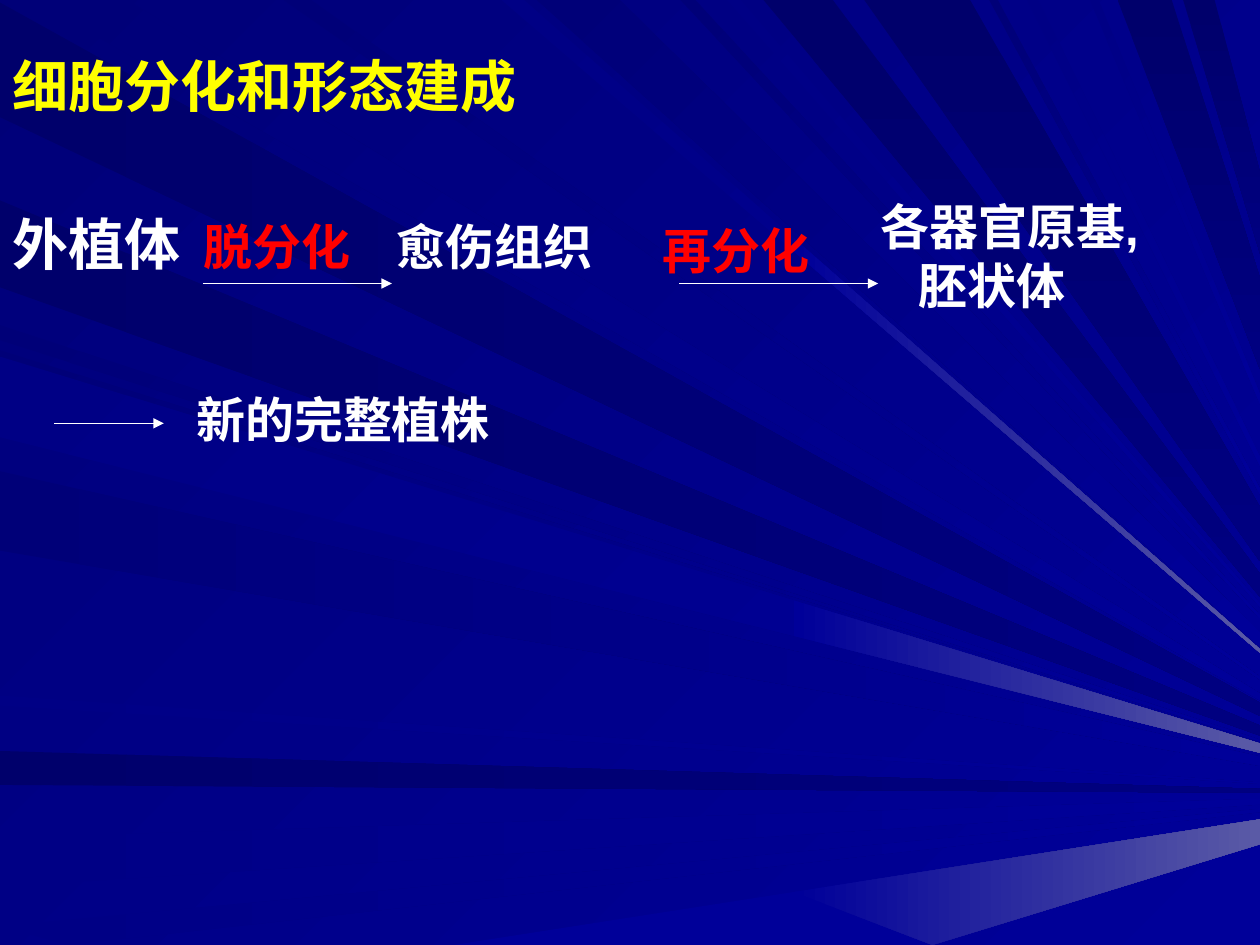
"""Slide on cell differentiation and morphogenesis, over a fan of blue light rays."""
from dataclasses import dataclass

from lxml import etree
from pptx import Presentation
from pptx import util as u
from pptx.dml.color import RGBColor
from pptx.enum import shapes, text
from pptx.oxml import ns

COLUMNS, ROWS = 100, 75
CELL = u.Inches(0.1)
FOCUS = (113, 63)


@dataclass(frozen=True)
class Theme:
    """Colours and type sizes."""
    font: str = "Arial"
    large: int = 32
    medium: int = 28
    arrow: float = 0.75
    title: str = "FFFF00"
    plain: str = "FFFFFF"
    process: str = "FF0000"
    night: str = "00006B"
    deep: str = "000078"
    dusk: str = "000085"
    mid: str = "000080"
    bright: str = "000099"
    glow: str = "5A5AA6"


T = Theme()

# Rays by start and end colour; each pair marks where a ray leaves the slide's rim.
RAYS = {
    (T.night, T.mid): [(-9.3, -0.2), (-62.3, -59.6), (-22.8, -15.9), (60.6, 66.1),
                       (88.7, 93), (93.9, 96.4), (68.6, 77)],
    (T.deep, T.bright): [(2.6, 10.1), (-27, -25.8), (42.6, 49.2), (54, 55.2), (-34.2, -27.8),
                         (-43.7, -37.4), (22.5, 24.7), (78.5, 79.2)],
    (T.dusk, T.bright): [(-70.4, -66.5), (-80.4, -73.5), (39.8, 41.6), (-56, -55.2),
                         (57.7, 58.8), (81.5, 82.4), (86.5, 87.2), (-34.7, -28.3)],
    (T.bright, T.bright): [(-149, -111)],
}
GLOWS = [(-34.7, -28.3), (39.8, 41.6), (-149, -111)]
GLOW_START = 0.63


def cells(*counts):
    """Turn grid cells into slide lengths."""
    return [u.Emu(round(count * CELL)) for count in counts]


def rim_point(mark):
    """Place a mark: rightward along the top if positive, else down the left and along the bottom."""
    if mark >= 0:
        return mark, 0
    return max(0, -mark - ROWS), min(-mark, ROWS)


def toward_focus(mark, column):
    """Find the point at a column on the line from a rim mark to the focus."""
    x, y = rim_point(mark)
    share = max(0, column - x) / (FOCUS[0] - x)
    return x + (FOCUS[0] - x) * share, y + (FOCUS[1] - y) * share


def paint(fill, start, end, angle):
    """Fill with one colour, or with a gradient at a clockwise angle."""
    if start == end:
        fill.solid()
        fill.fore_color.rgb = RGBColor.from_string(start)
        return
    fill.gradient()
    fill.gradient_angle = -angle % 360
    for stop, colour in zip(fill.gradient_stops, (start, end)):
        stop.color.rgb = RGBColor.from_string(colour)


def ray_angle(mark, end):
    """Choose the gradient angle from the ray's rim and end colour."""
    if end == T.mid:
        return 90 if mark > 0 else 0
    return 45 if mark > -ROWS / 2 and end == T.bright else 0


def add_ray(slide, marks, start, end, column=0):
    """Draw a ray from a column to the slide's right edge."""
    low, high = marks
    corners = [toward_focus(low, column), toward_focus(low, COLUMNS),
               toward_focus(high, COLUMNS), toward_focus(high, column)]
    first, *others = [cells(*corner) for corner in corners]
    outline = slide.shapes.build_freeform(*first)
    outline.add_line_segments(others, close=True)
    ray = outline.convert_to_shape()
    ray.shadow.inherit = False
    ray.line.fill.background()
    paint(ray.fill, start, end, ray_angle(low, end))


def add_backdrop(slide):
    """Paint the background, its rays and their glowing ends."""
    paint(slide.background.fill, T.deep, T.bright, 45)
    for colours, fan in RAYS.items():
        for marks in fan:
            add_ray(slide, marks, *colours)
    for marks in GLOWS:
        add_ray(slide, marks, T.bright, T.glow, GLOW_START * COLUMNS)


def add_arrow(slide, left, right, level):
    """Draw a level arrow pointing right."""
    x1, x2, y = cells(left, right, level)
    arrow = slide.shapes.add_connector(shapes.MSO_CONNECTOR.STRAIGHT, x1, y, x2, y)
    arrow.line.color.rgb = RGBColor.from_string(T.plain)
    arrow.line.width = u.Pt(T.arrow)
    etree.SubElement(arrow.line._get_or_add_ln(), ns.qn("a:tailEnd"), type="triangle")
    etree.SubElement(arrow._element.spPr, ns.qn("a:effectLst"))


def add_frame(slide, left, top, width, height, anchor=text.MSO_ANCHOR.TOP):
    """Add a wrapping text box and return its text frame."""
    frame = slide.shapes.add_textbox(*cells(left, top, width, height)).text_frame
    for name, value in {"word_wrap": True, "vertical_anchor": anchor}.items():
        setattr(frame, name, value)
    return frame


def write(paragraph, words, size, colour):
    """Write bold words into a paragraph."""
    run = paragraph.add_run()
    run.text = words
    for name, value in {"name": T.font, "size": u.Pt(size), "bold": True}.items():
        setattr(run.font, name, value)
    run.font.color.rgb = RGBColor.from_string(colour)


def set_tabs(paragraph, *stops):
    """Give a paragraph left tab stops, in grid cells."""
    tabs = etree.SubElement(paragraph._p.get_or_add_pPr(), ns.qn("a:tabLst"))
    for stop in cells(*stops):
        etree.SubElement(tabs, ns.qn("a:tab"), pos=str(int(stop)), algn="l")


def add_body(slide):
    """Add the title and the first stages of the process."""
    frame = add_frame(slide, 0, 3.6, 90, 26.8)
    write(frame.paragraphs[0], "细胞分化和形态建成", T.large, T.title)
    stages = frame.add_paragraph()
    set_tabs(stages, 15.2, 30.5)
    stages.space_before = u.Pt(52)
    write(stages, "外植体\t", T.large, T.plain)
    write(stages, "脱分化\t", T.medium, T.process)
    write(stages, "愈伤组织", T.medium, T.plain)


def add_products(slide):
    """Add the organ primordia and embryoids, the second line indented."""
    products = add_frame(slide, 68.9, 15.1, 24, 10.3, text.MSO_ANCHOR.MIDDLE).paragraphs[0]
    hang = int(cells(3)[0])
    for name, value in {"marL": hang, "indent": -hang}.items():
        products._p.get_or_add_pPr().set(name, str(value))
    write(products, "各器官原基,", T.medium, T.plain)
    products.add_line_break()
    write(products, "胚状体", T.medium, T.plain)


def main():
    """Build the slide and save it."""
    deck = Presentation()
    deck.slide_width, deck.slide_height = cells(COLUMNS, ROWS)
    slide = deck.slides.add_slide(deck.slide_layouts[6])
    add_backdrop(slide)
    add_body(slide)
    for arrow in [(16.1, 31.1, 22.5), (53.9, 69.7, 22.5), (4.3, 13, 33.6)]:
        add_arrow(slide, *arrow)
    add_products(slide)
    for words, colour, place in [
        ("再分化", T.process, (51.6, 17, 15.7, 5.7)),
        ("新的完整植株", T.plain, (14.6, 30.4, 28.4, 5.7)),
    ]:
        write(add_frame(slide, *place).paragraphs[0], words, T.medium, colour)
    deck.save("out.pptx")


if __name__ == "__main__":
    main()
